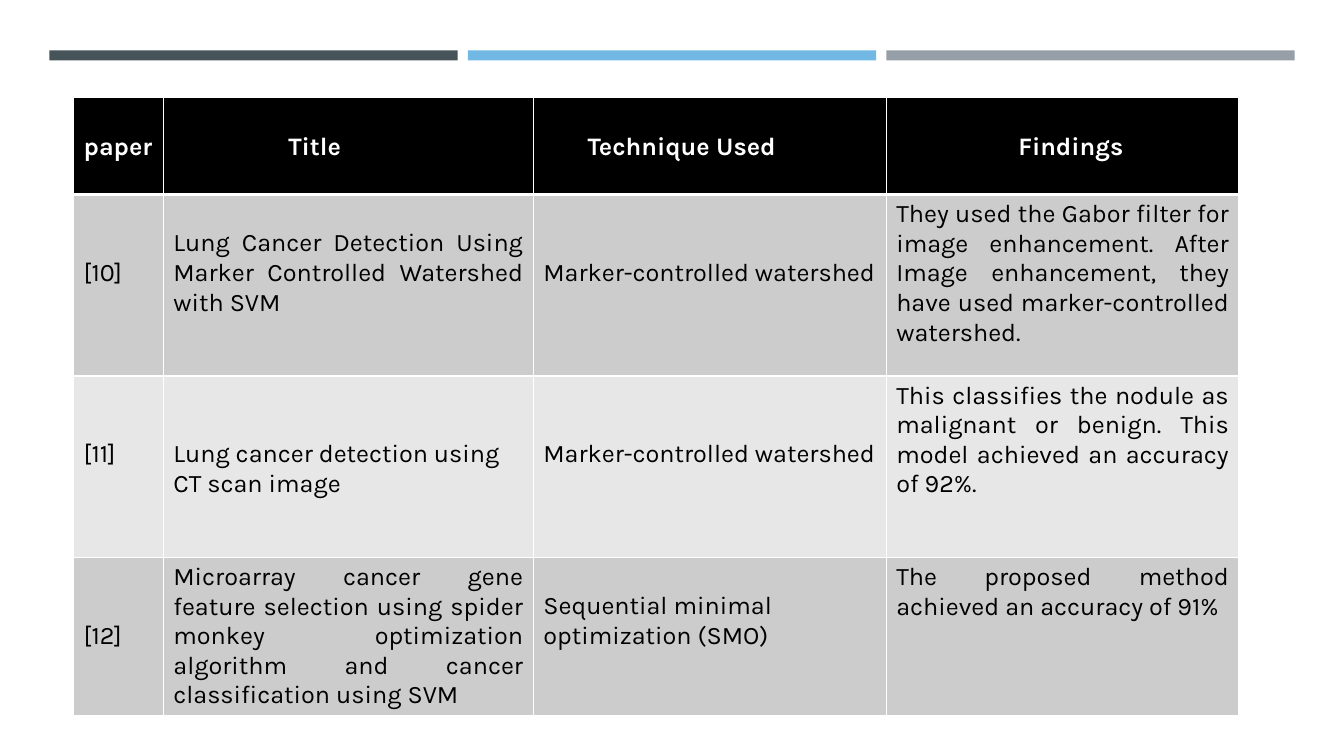
from lxml import etree
from pptx import Presentation
from pptx.dml.color import RGBColor
from pptx.enum.shapes import MSO_SHAPE
from pptx.enum.text import PP_ALIGN
from pptx.oxml.ns import qn
from pptx.util import Pt

RECT = MSO_SHAPE.RECTANGLE
LEFT, JUSTIFY = PP_ALIGN.LEFT, PP_ALIGN.JUSTIFY
PX = 9144
LINE = 29
PAD = 5
BARS = ["465359", "71B9E4", "969FA7"]
COLS = [89, 367, 350, 350]
ROWS = [96, 180, 180, 147]
FILLS = ["000000", "CCCCCC", "E7E7E7", "CCCCCC"]
CELLS = [
    [
        ("paper", 1, LEFT, 0),
        ("Title", 1, LEFT, 114),
        ("Technique Used", 1, LEFT, 44),
        ("Findings", 1, LEFT, 121),
    ],
    [
        ("[10]", 2, LEFT, 0),
        ("Lung Cancer Detection Using Marker Controlled Watershed with SVM", 1, JUSTIFY, 0),
        ("Marker-controlled watershed", 2, LEFT, 0),
        ("They used the Gabor filter for image enhancement. After Image enhancement, "
         "they have used marker-controlled watershed.", 0, JUSTIFY, 0),
    ],
    [
        ("[11]", 2, LEFT, 0),
        ("Lung cancer detection using CT scan image", 2, LEFT, 0),
        ("Marker-controlled watershed", 2, LEFT, 0),
        ("This classifies the nodule as malignant or benign. "
         "This model achieved an accuracy of 92%.", 0, JUSTIFY, 0),
    ],
    [
        ("[12]", 2, LEFT, 0),
        ("Microarray cancer gene feature selection using spider monkey optimization "
         "algorithm and cancer classification using SVM", 0, JUSTIFY, 0),
        ("Sequential minimal optimization (SMO)", 1, LEFT, 0),
        ("The proposed method achieved an accuracy of 91%", 0, JUSTIFY, 0),
    ],
]


def px(n):
    return n * PX


def rgb(color):
    return RGBColor.from_string(color)


def write(tf, text, font="Karla", size=18, color="000000", bold=False, align=LEFT):
    p = tf.paragraphs[0]
    p.alignment = align
    r = p.add_run()
    r.text = text
    r.font.name = font
    r.font.size = Pt(size)
    r.font.bold = bold
    r.font.color.rgb = rgb(color)


class Deck:
    def __init__(self, width, height):
        self.prs = Presentation()
        self.prs.slide_width = px(width)
        self.prs.slide_height = px(height)
        self.s = self.prs.slides.add_slide(self.prs.slide_layouts[6])

    def bar(self, x, y, w, h, fill):
        sp = self.s.shapes.add_shape(RECT, px(x), px(y), px(w), px(h))
        sp.shadow.inherit = False
        sp.fill.solid()
        sp.fill.fore_color.rgb = rgb(fill)
        sp.line.fill.background()

    def border(self, cell, side, width, color="FFFFFF"):
        tcPr = cell._tc.get_or_add_tcPr()
        ln = etree.SubElement(tcPr, qn(f"a:ln{side}"), w=str(Pt(width)))
        fill = etree.SubElement(ln, qn("a:solidFill"))
        etree.SubElement(fill, qn("a:srgbClr"), val=color)

    def table(self, x, y, cols, rows, cells, fills):
        frame = self.s.shapes.add_table(
            len(rows), len(cols), px(x), px(y), px(sum(cols)), px(sum(rows)))
        tbl = frame.table
        tbl.first_row = tbl.horz_banding = False
        for col, width in zip(tbl.columns, cols):
            col.width = px(width)
        for i, height in enumerate(rows):
            tbl.rows[i].height = px(height)
            for j, (text, lines, align, indent) in enumerate(cells[i]):
                cell = tbl.cell(i, j)
                for side in "LRTB":
                    thick = (i, side) in ((0, "B"), (1, "T"))
                    self.border(cell, side, 3 if thick else 1)
                cell.fill.solid()
                cell.fill.fore_color.rgb = rgb(fills[i])
                cell.margin_top = px(PAD + lines * LINE)
                cell.margin_left = px(10 + indent)
                header = i == 0
                write(cell.text_frame, text, bold=header, align=align,
                      color="FFFFFF" if header else "000000")


def main():
    deck = Deck(1333, 750)
    for i, color in enumerate(BARS):
        deck.bar(49 + i * 415, 50, 405, 10, color)
    deck.table(73, 97, COLS, ROWS, CELLS, FILLS)
    deck.prs.save("out.pptx")


if __name__ == "__main__":
    main()
